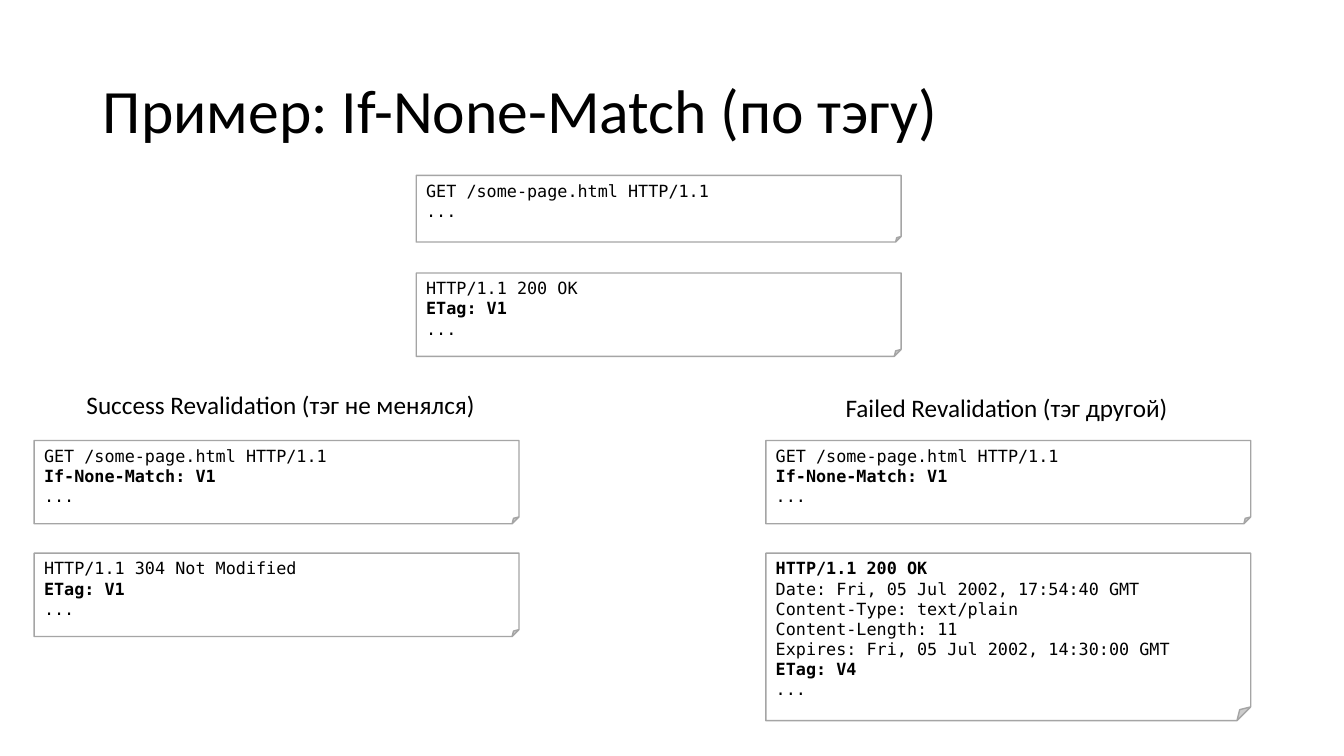
from lxml.etree import SubElement
from pptx import Presentation
from pptx.dml.color import RGBColor
from pptx.enum.shapes import MSO_SHAPE
from pptx.enum.text import MSO_ANCHOR, PP_ALIGN
from pptx.oxml.ns import qn
from pptx.util import Cm, Pt


def rgb(value):
    return RGBColor.from_string(value)


def write(p, text, size, name, bold=False):
    p.text = text
    p.alignment = PP_ALIGN.LEFT
    p.font.size = Pt(size)
    p.font.name = name
    p.font.bold = bold
    p.font.color.rgb = rgb("000000")


prs = Presentation()
prs.slide_width, prs.slide_height = Cm(33.87), Cm(19.05)
s = prs.slides.add_slide(prs.slide_layouts[5])

title = s.shapes.title
title.left, title.top, title.width, title.height = Cm(2.34), Cm(1.02), Cm(29.21), Cm(3.68)
tf = title.text_frame
tf.vertical_anchor = MSO_ANCHOR.MIDDLE
write(tf.paragraphs[0], "Пример: If-None-Match (по тэгу)", 44, "Calibri")
tf.paragraphs[0].line_spacing = 0.9

left, middle, right = 0.86, 10.49, 19.3
request = "GET /some-page.html HTTP/1.1"
ok = "HTTP/1.1 200 OK"
condition = "If-None-Match: V1"
changed = [
    ok,
    "Date: Fri, 05 Jul 2002, 17:54:40 GMT",
    "Content-Type: text/plain",
    "Content-Length: 11",
    "Expires: Fri, 05 Jul 2002, 14:30:00 GMT",
    "ETag: V4",
]
messages = [
    (middle, 4.42, 1.68, [request], []),
    (middle, 6.88, 2.1, [ok, "ETag: V1"], [1]),
    (left, 11.1, 2.1, [request, condition], [1]),
    (left, 13.94, 2.1, ["HTTP/1.1 304 Not Modified", "ETag: V1"], [1]),
    (right, 11.1, 2.1, [request, condition], [1]),
    (right, 13.94, 4.22, changed, [0, 5]),
]
for x, y, height, lines, bold_lines in messages:
    sp = s.shapes.add_shape(MSO_SHAPE.FOLDED_CORNER, Cm(x), Cm(y), Cm(12.22), Cm(height))
    fold = next(sp._element.iter(qn("a:avLst")))
    SubElement(fold, qn("a:gd"), name="adj", fmla="val 8200")
    sp.shadow.inherit = False
    sp.fill.solid()
    sp.fill.fore_color.rgb = rgb("FFFFFF")
    sp.line.color.rgb = rgb("A5A5A5")
    sp.line.width = Pt(1)
    tf = sp.text_frame
    tf.word_wrap = True
    tf.vertical_anchor = MSO_ANCHOR.TOP
    for i, line in enumerate(lines + ["..."]):
        p = tf.add_paragraph() if i else tf.paragraphs[0]
        write(p, line, 12, "DejaVu Sans Mono", i in bold_lines)

labels = [
    (1.93, 9.68, 10.41, "Success Revalidation (тэг не менялся)"),
    (21.06, 9.75, 8.74, "Failed Revalidation (тэг другой)"),
]
for x, y, width, text in labels:
    tf = s.shapes.add_textbox(Cm(x), Cm(y), Cm(width), Cm(1.02)).text_frame
    tf.word_wrap = False
    write(tf.paragraphs[0], text, 18, "Calibri")

prs.save("out.pptx")
